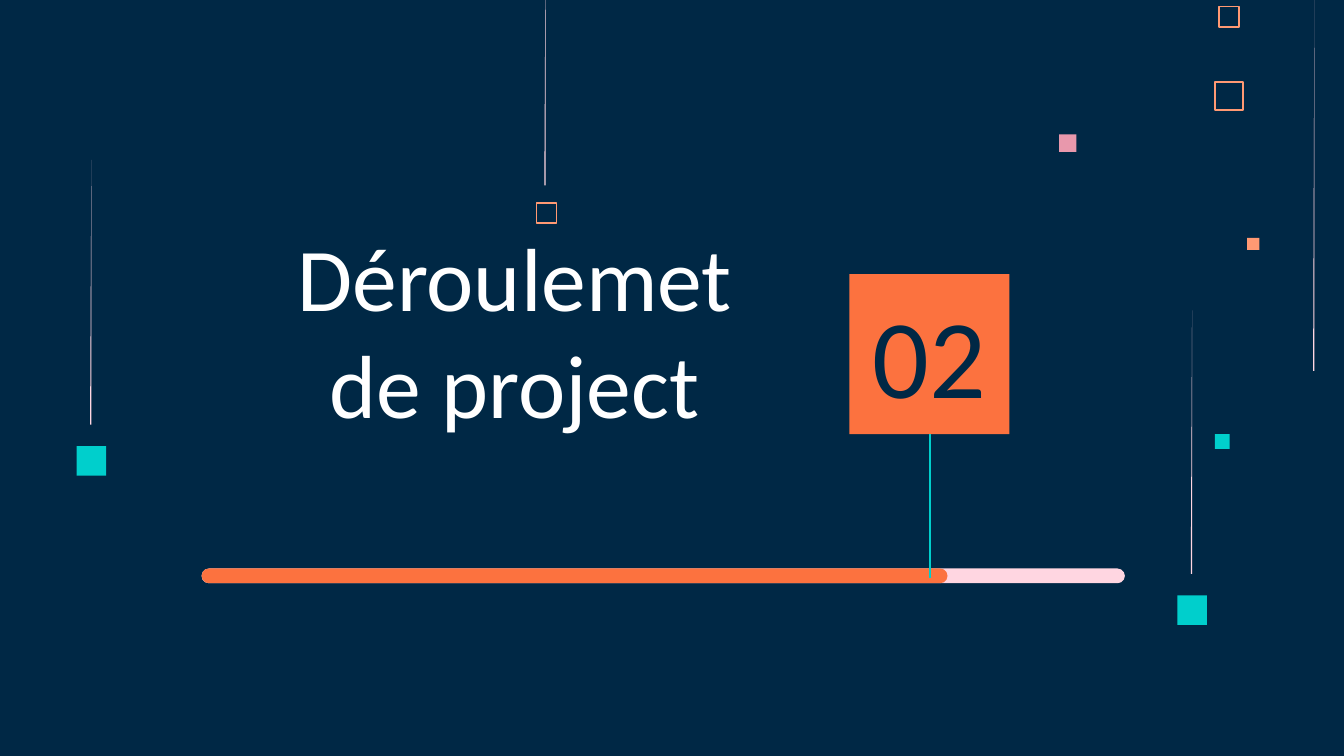
import pptx
import pptx.dml.color
import pptx.enum.shapes
import pptx.enum.text
import pptx.util
from lxml import etree

Inches = pptx.util.Inches
RGBColor = pptx.dml.color.RGBColor
MSO_SHAPE = pptx.enum.shapes.MSO_SHAPE
MSO_ANCHOR = pptx.enum.text.MSO_ANCHOR

NAVY = RGBColor(0x00, 0x28, 0x45)
ORANGE = RGBColor(0xFC, 0x72, 0x3F)
PEACH = RGBColor(0xFF, 0x99, 0x73)
TEAL = RGBColor(0x00, 0xCF, 0xCC)
ROSE = RGBColor(0xE8, 0x98, 0xAC)
PALE_PINK = RGBColor(0xFF, 0xD6, 0xE1)
WHITE = RGBColor(0xFF, 0xFF, 0xFF)

FONT = "Calibri"
FILLED_SQUARES = [
    (7.88, 1, 0.13, ROSE),
    (9.04, 3.23, 0.11, TEAL),
    (9.28, 1.77, 0.09, PEACH),
    (8.76, 4.43, 0.22, TEAL),
    (0.57, 3.32, 0.22, TEAL),
]
OUTLINED_SQUARES = [(9.04, 0.61, 0.21), (9.07, 0.05, 0.15), (3.99, 1.51, 0.15)]
STREAKS = [(4.05, -0.48, 1.38), (9.77, 0, 2.76), (8.86, 2.31, 4.27), (0.67, 1.19, 3.16)]


def paint(sp, color):
    sp.shadow.inherit = False
    sp.fill.solid()
    sp.fill.fore_color.rgb = color
    sp.line.fill.background()


def add_square(s, x, y, size, color):
    sp = s.shapes.add_shape(
        MSO_SHAPE.RECTANGLE, Inches(x), Inches(y), Inches(size), Inches(size)
    )
    paint(sp, color)
    return sp


def add_outlined_square(s, x, y, size):
    sp = add_square(s, x, y, size, PEACH)
    sp.fill.background()
    sp.line.color.rgb = PEACH
    sp.line.width = pptx.util.Pt(0.75)


def add_streak(s, x, top, bottom):
    right = Inches(x + 0.01)
    builder = s.shapes.build_freeform(right, Inches(top))
    builder.add_line_segments([(Inches(x), Inches(bottom)), (right, Inches(bottom))])
    paint(builder.convert_to_shape(), PALE_PINK)


def add_bar(s, width, color):
    sp = s.shapes.add_shape(
        MSO_SHAPE.ROUNDED_RECTANGLE, Inches(1.5), Inches(4.23), Inches(width), Inches(0.11)
    )
    sp.adjustments[0] = 0.5
    paint(sp, color)


def add_stem(s):
    x = Inches(6.92)
    line = s.shapes.add_connector(
        pptx.enum.shapes.MSO_CONNECTOR.STRAIGHT, x, Inches(3.23), x, Inches(4.3)
    )
    line.line.color.rgb = TEAL
    line.line.width = pptx.util.Pt(1.5)
    etree.SubElement(line._element.spPr, pptx.oxml.ns.qn("a:effectLst"))


def set_placeholder(s, sp, text, box, size, color, anchor):
    sp.left, sp.top, sp.width, sp.height = [Inches(v) for v in box]
    tf = sp.text_frame
    tf.text = text
    tf.word_wrap = True
    tf.auto_size = pptx.enum.text.MSO_AUTO_SIZE.NONE
    tf.vertical_anchor = anchor
    tf.margin_left = tf.margin_right = tf.margin_top = tf.margin_bottom = Inches(0.1)
    p = tf.paragraphs[0]
    p.alignment = pptx.enum.text.PP_ALIGN.CENTER
    p.space_before = pptx.util.Pt(0)
    r = p.runs[0]
    r.font.name = FONT
    r.font.size = pptx.util.Pt(size)
    r.font.color.rgb = color
    s.shapes._spTree.append(sp._element)


def main():
    prs = pptx.Presentation()
    prs.slide_width = Inches(10)
    prs.slide_height = prs.slide_width * 9 // 16
    s = prs.slides.add_slide(prs.slide_layouts[0])
    s.background.fill.solid()
    s.background.fill.fore_color.rgb = NAVY
    title, number = s.placeholders

    for square in FILLED_SQUARES:
        add_square(s, *square)
    for square in OUTLINED_SQUARES:
        add_outlined_square(s, *square)
    for streak in STREAKS:
        add_streak(s, *streak)

    set_placeholder(s, title, "Déroulemet de project", (1.78, 2.43, 4.1, 0.92),
                    48, WHITE, MSO_ANCHOR.BOTTOM)
    add_square(s, 6.32, 2.04, 1.19, ORANGE)
    set_placeholder(s, number, "02", (6.38, 2.32, 1.07, 0.63),
                    60, NAVY, MSO_ANCHOR.MIDDLE)
    add_bar(s, 6.87, PALE_PINK)
    add_bar(s, 5.55, ORANGE)
    add_stem(s)
    prs.save("out.pptx")


if __name__ == "__main__":
    main()
